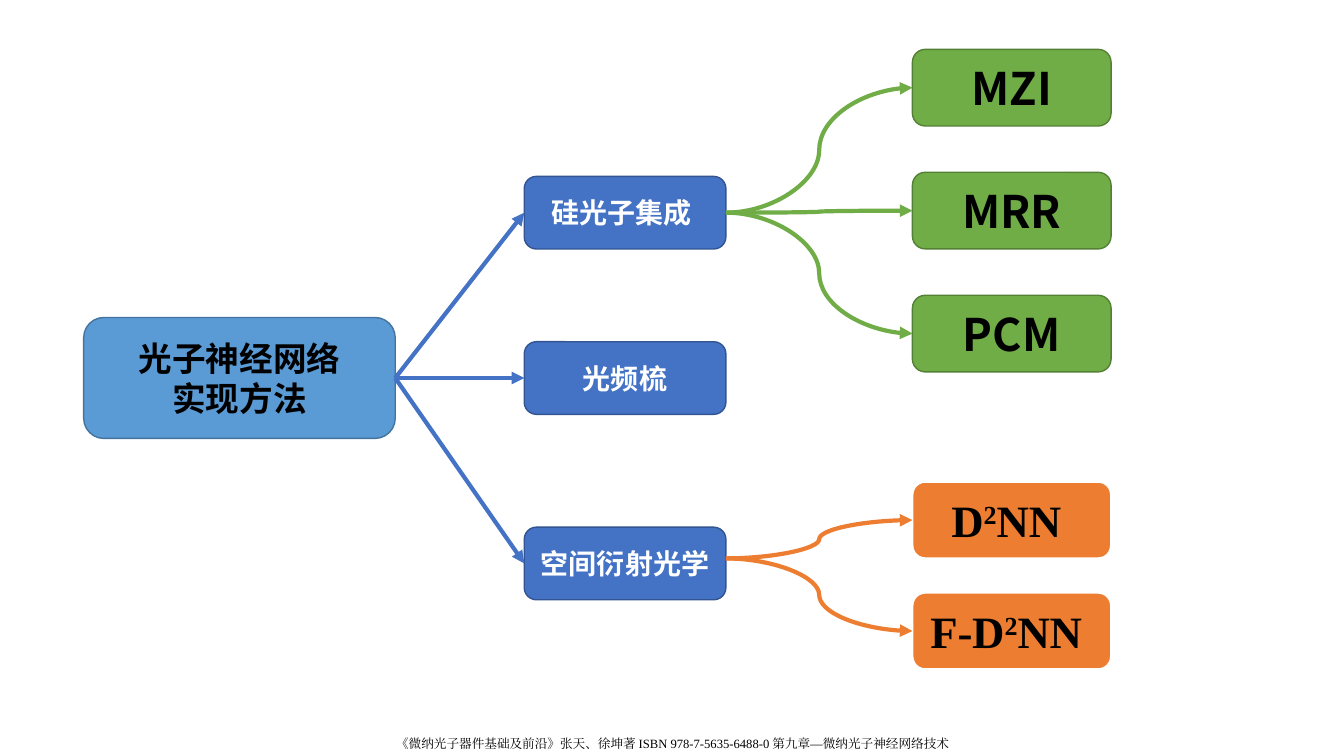
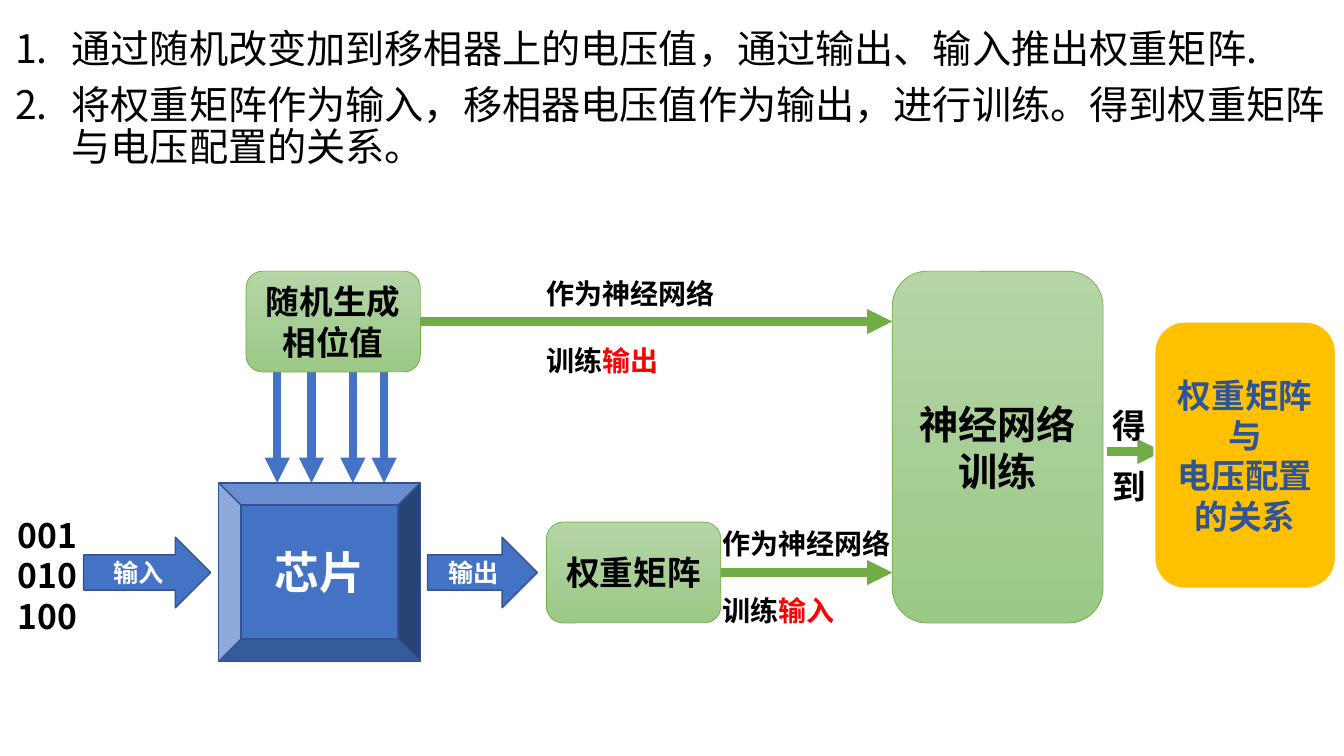
import pptx
import pptx.util
import pptx.dml.color
import pptx.enum.shapes
import pptx.enum.text
import pptx.oxml.ns

# Shared look
WIDE, HIGH = 13.33, 7.5
SANS, SERIF = "Noto Sans CJK SC", "Times New Roman"
BLUE, NAVY, GREEN, ORANGE = "4472C4", "325491", "70AD47", "ED7D31"
BLACK, WHITE, RED = "000000", "FFFFFF", "FF0000"
FADE = ("B5D5A7", "9CC987")
KIND = pptx.enum.shapes.MSO_SHAPE
WIRE = pptx.enum.shapes.MSO_CONNECTOR
ALIGN = pptx.enum.text.PP_ALIGN
ROUND, ARROW, BEVEL = KIND.ROUNDED_RECTANGLE, KIND.RIGHT_ARROW, KIND.BEVEL
STYLES = {  # fill, line colour, line width, text colour
    "root": ("5B9BD5", "43739E", 1, BLACK),
    "blue": (BLUE, NAVY, 1, WHITE),
    "green": (GREEN, "538035", 1, BLACK),
    "orange": (ORANGE, WHITE, 1.5, BLACK),
    "fade": (FADE, GREEN, 0.5, BLACK),
    "gold": ("FFC000", WHITE, 1.5, "2F5597"),
}

# Slide 1: a tree of methods; a paragraph is a string or a list of (text, format)
ROOT = (0.83, 3.15, 3.09, 1.2)
ROOT_TEXT = ["光子神经网络", "实现方法"]
MID_X, MID_W, MID_H = 5.2, 2, 0.72
LEAF_X, LEAF_W, LEAF_H = 9.05, 1.97, 0.76
MIDS = [(1.75, "硅光子集成 "), (3.39, "光频梳"), (5.23, "空间衍射光学")]
UP = {"baseline": "30000"}
FANS = [  # style, wire colour, start, first top, step, font, spacing, leaves
    ("green", GREEN, 2.11, 0.49, 1.22, SANS, "0", ["MZI", "MRR", "PCM"]),
    ("orange", ORANGE, 5.54, 4.78, 1.1, SERIF, "-20",
     [[(head, {}), ("2", UP), ("NN ", {})] for head in ("D", "F-D")]),
]
FOOT = "《微纳光子器件基础及前沿》张天、徐坤著 ISBN 978-7-5635-6488-0 第九章—微纳光子神经网络技术"

# Slide 2: the training flow
STEPS = ["通过随机改变加到移相器上的电压值，通过输出、输入推出权重矩阵.",
         "将权重矩阵作为输入，移相器电压值作为输出，进行训练。得到权重矩阵与电压配置的关系。"]
NODES = [  # kind, style, place, size, text
    (BEVEL, "blue", (2.17, 4.79, 2, 1.77), 32, ["芯片"]),
    (ARROW, "blue", (0.83, 5.33, 1.26, 0.7), 18, ["输入"]),
    (ARROW, "blue", (4.24, 5.33, 1.09, 0.7), 18, ["输出"]),
    (ROUND, "fade", (2.44, 2.69, 1.73, 1), 24, ["随机生成", "相位值"]),
    (ROUND, "fade", (5.42, 5.18, 1.73, 1), 24, ["权重矩阵"]),
    (ROUND, "fade", (8.85, 2.69, 2.09, 3.49), 28, ["神经网络", "训练"]),
    (ROUND, "gold", (11.45, 3.19, 1.8, 2.65), 24, ["权重矩阵与", "电压配置的关系"]),
]
FLOWS = [((4.17, 3.19), (8.85, 3.19)), ((7.15, 5.68), (8.85, 5.68)),
         ((10.98, 4.48), (11.53, 4.48))]
DROPS = (2.75, 3.09, 3.5, 3.81)
NOTES = [  # place, size, line spacing, text
    ((0.08, 5.06, 0.92, 1.31), 24, 1, ["001", "010", "100"]),
    ((10.94, 3.77, 0.56, 1.25), 24, 1.5, ["得", "到"]),
] + [((x, y, 2.04, 1.35), 20, 2,
      ["作为神经网络", [("训练", {}), (word, {"color": RED})]])
     for x, y, word in ((5.32, 2.36, "输出"), (7.07, 4.84, "输入"))]


def rgb(code):
    return pptx.dml.color.RGBColor.from_string(code)


def inches(nums):
    return [pptx.util.Inches(n) for n in nums]


def sub(node, tag, **atts):
    kid = node.makeelement(pptx.oxml.ns.qn(tag), atts)
    node.append(kid)
    return kid


def write(frame, paras, size, color=BLACK, bold=True, face=SANS,
          space="0", **form):
    """Fill a text frame; form holds paragraph formats."""
    frame.word_wrap = True
    for i, runs in enumerate(paras):
        para = frame.paragraphs[0] if i == 0 else frame.add_paragraph()
        for key, val in form.items():
            setattr(para, key, val)
        for text, more in [(runs, {})] if isinstance(runs, str) else runs:
            run = para.add_run()
            run.text = text
            look = {"size": pptx.util.Pt(size), "bold": bold, "name": face}
            for key, val in look.items():
                setattr(run.font, key, val)
            run.font.color.rgb = rgb(more.get("color", color))
            props = run.font._element
            props.set("spc", space)
            props.set("baseline", more.get("baseline", "0"))
            sub(props, "a:ea", typeface=face)


def box(slide, kind, style, place, size, paras, **form):
    fill, edge, width, color = STYLES[style]
    shape = slide.shapes.add_shape(kind, *inches(place))
    shape.shadow.inherit = False
    if isinstance(fill, tuple):
        shape.fill.gradient()
        shape.fill.gradient_angle = 270
        for stop, code in zip(shape.fill.gradient_stops, fill):
            stop.color.rgb = rgb(code)
    else:
        shape.fill.solid()
        shape.fill.fore_color.rgb = rgb(fill)
    shape.line.color.rgb = rgb(edge)
    shape.line.width = pptx.util.Pt(width)
    shape.text_frame.vertical_anchor = pptx.enum.text.MSO_ANCHOR.MIDDLE
    write(shape.text_frame, paras, size, color, alignment=ALIGN.CENTER, **form)


def note(slide, place, paras, size, **form):
    area = slide.shapes.add_textbox(*inches(place))
    write(area.text_frame, paras, size, **form)


def wire(slide, start, end, color, width, kind=WIRE.STRAIGHT):
    link = slide.shapes.add_connector(kind, *inches(start + end))
    link.line.color.rgb = rgb(color)
    link.line.width = pptx.util.Pt(width)
    sub(link.line._get_or_add_ln(), "a:tailEnd", type="triangle")
    sub(link._element.spPr, "a:effectLst")


def tree(deck):
    slide = deck.slides.add_slide(deck.slide_layouts[6])
    box(slide, ROUND, "root", ROOT, 24, ROOT_TEXT)
    x, y, w, h = ROOT
    for top, text in MIDS:
        box(slide, ROUND, "blue", (MID_X, top, MID_W, MID_H), 20, [text])
        wire(slide, (x + w, y + h / 2), (MID_X, top + MID_H / 2), BLUE, 3)
    for style, color, start, first, step, face, space, leaves in FANS:
        for i, leaf in enumerate(leaves):
            top = first + i * step
            box(slide, ROUND, style, (LEAF_X, top, LEAF_W, LEAF_H), 32,
                [leaf], face=face, space=space)
            wire(slide, (MID_X + MID_W, start), (LEAF_X, top + LEAF_H / 2),
                 color, 3, WIRE.CURVE)
    note(slide, (0.77, 7.25, 11.8, 0.25), [FOOT], 9, bold=False, face=SERIF,
         alignment=ALIGN.CENTER)


def flow(deck):
    slide = deck.slides.add_slide(deck.slide_layouts[1])
    title = slide.shapes.title.element
    title.getparent().remove(title)

    # Numbered steps
    body = slide.placeholders[1]
    spots = inches((0.05, 0.24, WIDE, 1.69))
    for key, val in zip(("left", "top", "width", "height"), spots):
        setattr(body, key, val)
    body.text_frame.auto_size = pptx.enum.text.MSO_AUTO_SIZE.NONE
    write(body.text_frame, STEPS, 28, bold=False, line_spacing=0.9,
          space_before=pptx.util.Pt(10))
    dent = pptx.util.Inches(0.56)
    for para in body.text_frame.paragraphs:
        props = para._p.get_or_add_pPr()
        props.set("marL", str(dent))
        props.set("indent", str(-dent))
        sub(props, "a:buFont", typeface="+mj-lt")
        sub(props, "a:buAutoNum", type="arabicPeriod")

    # Arrows, boxes and labels
    for x in DROPS:
        wire(slide, (x, 3.69), (x, 4.79), BLUE, 6)
    for start, end in FLOWS:
        wire(slide, start, end, GREEN, 6)
    for node in NODES:
        box(slide, *node)
    for place, size, gap, paras in NOTES:
        note(slide, place, paras, size, line_spacing=gap)


def main():
    deck = pptx.Presentation()
    deck.slide_width, deck.slide_height = inches((WIDE, HIGH))
    tree(deck)
    flow(deck)
    deck.save("out.pptx")


if __name__ == "__main__":
    main()
